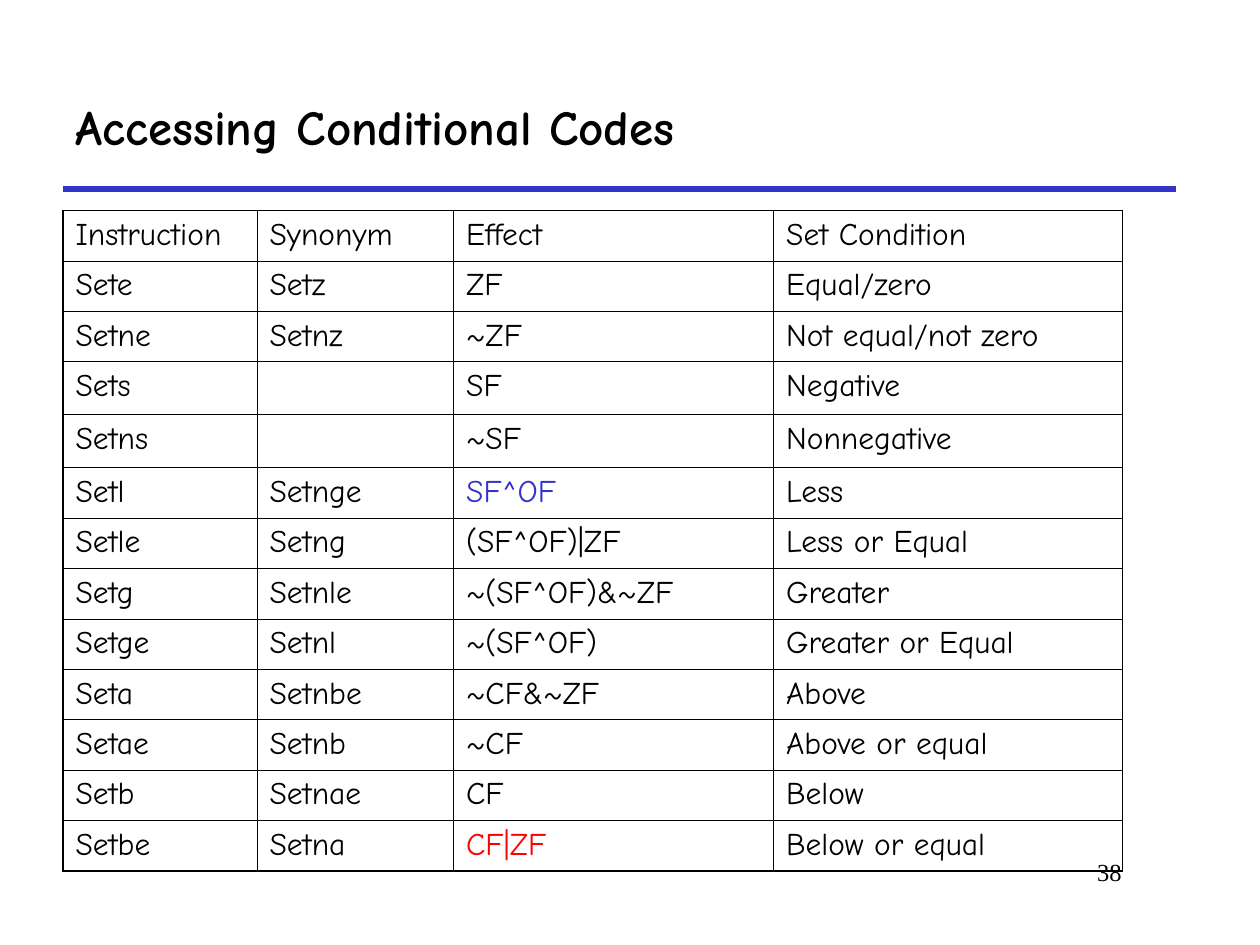
from lxml.etree import SubElement as Sub
from pptx import Presentation
from pptx.dml.color import RGBColor
from pptx.enum.shapes import MSO_CONNECTOR as Conn
from pptx.enum.text import MSO_ANCHOR as Anchor, PP_ALIGN as Align
from pptx.oxml import parse_xml
from pptx.oxml.ns import nsdecls, qn
from pptx.util import Emu, Pt

PX = 9144
BLACK = RGBColor(0x00, 0x00, 0x00)
BLUE = RGBColor(0x33, 0x33, 0xCC)
RED = RGBColor(0xFF, 0x00, 0x00)
BODY = {"name": "Comic Neue", "size": Pt(18), "bold": False}
TITLE = {"name": "Comic Neue", "size": Pt(28), "bold": True}
PAGE = {"name": "Times New Roman", "size": Pt(14), "bold": False}
THIN, THICK = Pt(0.45), Pt(1.08)
COLS = [154, 156, 254, 277]
TINTS = {"SF^OF": BLUE, "CF|ZF": RED}
ROWS = [
    ("Instruction", "Synonym", "Effect", "Set Condition"),
    ("Sete", "Setz", "ZF", "Equal/zero"),
    ("Setne", "Setnz", "~ZF", "Not equal/not zero"),
    ("Sets", "", "SF", "Negative"),
    ("Setns", "", "~SF", "Nonnegative"),
    ("Setl", "Setnge", "SF^OF", "Less"),
    ("Setle", "Setng", "(SF^OF)|ZF", "Less or Equal"),
    ("Setg", "Setnle", "~(SF^OF)&~ZF", "Greater"),
    ("Setge", "Setnl", "~(SF^OF)", "Greater or Equal"),
    ("Seta", "Setnbe", "~CF&~ZF", "Above"),
    ("Setae", "Setnb", "~CF", "Above or equal"),
    ("Setb", "Setnae", "CF", "Below"),
    ("Setbe", "Setna", "CF|ZF", "Below or equal"),
]


def px(*nums):
    """Turn px into EMU."""
    return [Emu(num * PX) for num in nums]


def write(para, text, look, tint=BLACK):
    """Add one styled run to a paragraph."""
    run = para.add_run()
    run.text = text
    for key, val in look.items():
        setattr(run.font, key, val)
    run.font.color.rgb = tint


def add_text(slide, box, text, look, anchor=Anchor.TOP, align=Align.LEFT):
    """Add a wrapped text box with one line."""
    frame = slide.shapes.add_textbox(*px(*box)).text_frame
    frame.word_wrap = True
    frame.vertical_anchor = anchor
    para = frame.paragraphs[0]
    para.alignment = align
    write(para, text, look)


def add_rule(slide, ends, width, tint):
    """Add a plain straight line."""
    rule = slide.shapes.add_connector(Conn.STRAIGHT, *px(*ends))
    rule.line.width = width
    rule.line.color.rgb = tint
    Sub(rule._element.spPr, qn("a:effectLst"))


def set_edges(cell, edges):
    """Draw the four borders of a cell."""
    props = cell._tc.get_or_add_tcPr()
    for spot, (side, outer) in enumerate(edges.items()):
        width = THICK if outer else THIN
        props.insert(spot, parse_xml(
            f'<a:ln{side} {nsdecls("a")} w="{width}"><a:solidFill>'
            f'<a:srgbClr val="{BLACK}"/></a:solidFill></a:ln{side}>'))


def add_grid(slide, left, top):
    """Add the table of set instructions."""
    tall = [40 if row[1] else 42 for row in ROWS]
    size = px(left, top, sum(COLS), sum(tall))
    grid = slide.shapes.add_table(len(ROWS), len(COLS), *size).table
    grid.first_row = grid.horz_banding = False
    for col, wide in zip(grid.columns, px(*COLS)):
        col.width = wide
    for row, high in zip(grid.rows, px(*tall)):
        row.height = high
    for r, row in enumerate(ROWS):
        for c, text in enumerate(row):
            cell = grid.cell(r, c)
            cell.fill.background()
            set_edges(cell, {"L": c == 0, "R": c == len(COLS) - 1,
                             "T": r == 0, "B": r == len(ROWS) - 1})
            if text:
                para = cell.text_frame.paragraphs[0]
                write(para, text, BODY, TINTS.get(text, BLACK))


def main():
    """Build the slide and save it."""
    deck = Presentation()
    deck.slide_width, deck.slide_height = px(1000, 750)
    slide = deck.slides.add_slide(deck.slide_layouts[6])
    add_rule(slide, (50, 150, 933, 150), Pt(3), BLUE)
    add_text(slide, (758, 675, 142, 50), "38", PAGE, align=Align.RIGHT)
    add_text(slide, (50, 50, 883, 100), "Accessing Conditional Codes", TITLE,
             anchor=Anchor.MIDDLE)
    add_grid(slide, 50, 167)
    deck.save("out.pptx")


if __name__ == "__main__":
    main()
